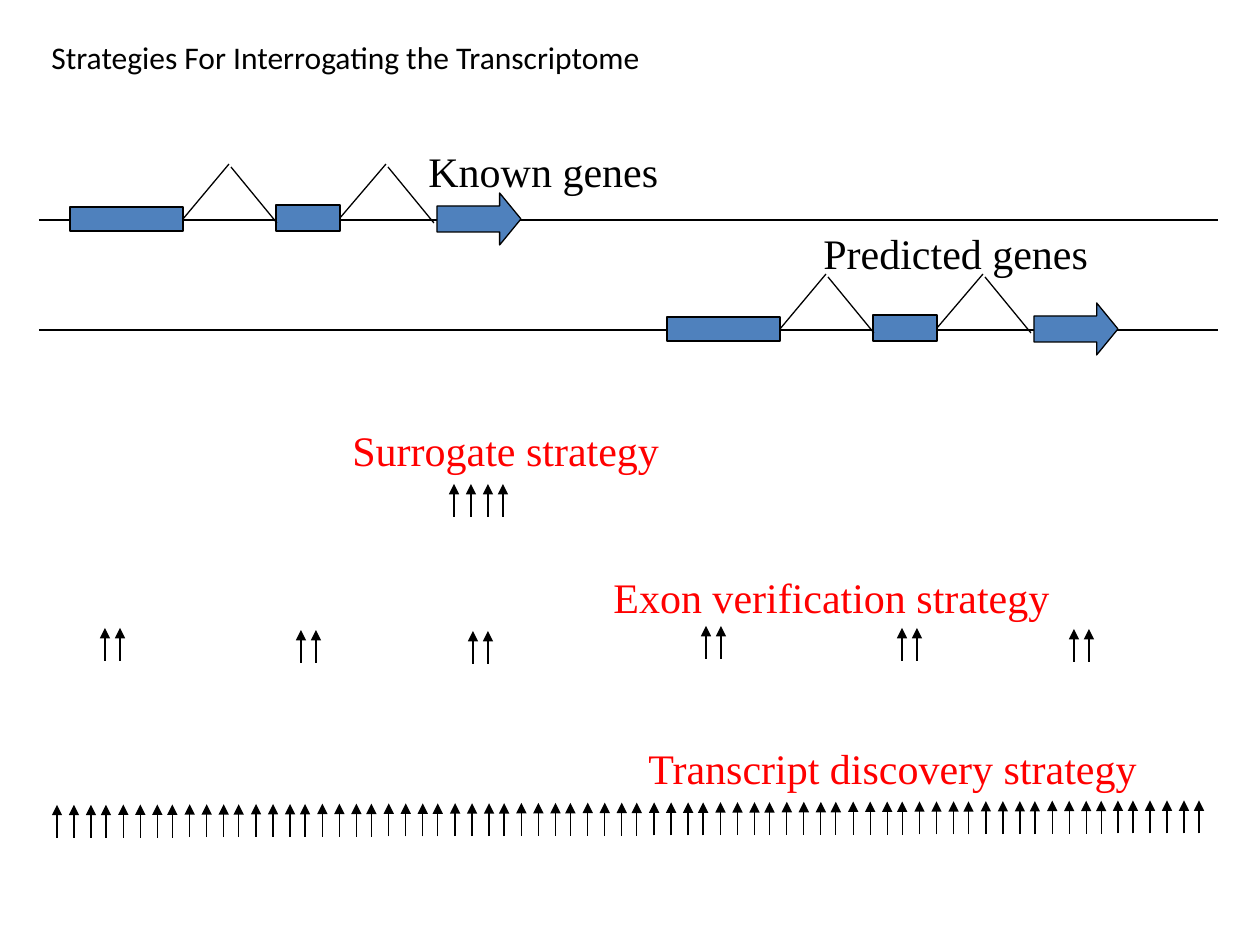
from dataclasses import dataclass

from lxml import etree
from pptx import Presentation
from pptx import util as u
from pptx.dml.color import RGBColor
from pptx.enum import shapes, text
from pptx.oxml import ns

SCALE = 914400 / 126  # EMU in one px


def emu(px):
    return u.Emu(round(px * SCALE))


@dataclass
class Theme:
    ink: str = "000000"
    gene: str = "4F81BD"
    plan: str = "FF0000"
    sans: str = "Calibri"
    serif: str = "Times New Roman"
    title: int = 18
    label: int = 24
    line: float = 0.75


class Board:
    def __init__(self, deck, theme):
        self.theme = theme
        self.slide = deck.slides.add_slide(deck.slide_layouts[6])
        self.top()

    def top(self):
        """Draw straight on the slide again."""
        self.pen = self.slide.shapes

    def group(self):
        """Draw into a new group from here on."""
        self.pen = self.slide.shapes.add_group_shape().shapes

    def paint(self, line):
        line.color.rgb = RGBColor.from_string(self.theme.ink)
        line.width = u.Pt(self.theme.line)

    def note(self, words, x, y, w, h, font, size, color, wrap=False):
        frame = self.pen.add_textbox(*map(emu, (x, y, w, h))).text_frame
        frame.word_wrap = wrap
        frame.auto_size = text.MSO_AUTO_SIZE.SHAPE_TO_FIT_TEXT
        para = frame.paragraphs[0]
        para.text = words
        para.font.name = font
        para.font.size = u.Pt(size)
        para.font.color.rgb = RGBColor.from_string(color)

    def label(self, words, x, y, w, color):
        self.note(words, x, y, w, 63, self.theme.serif, self.theme.label, color)

    def block(self, kind, x, y, w, h):
        shape = self.pen.add_shape(kind, *map(emu, (x, y, w, h)))
        shape.shadow.inherit = False
        shape.fill.solid()
        shape.fill.fore_color.rgb = RGBColor.from_string(self.theme.gene)
        self.paint(shape.line)
        return shape

    def line(self, x, y, to_x, to_y, head=False):
        link = self.pen.add_connector(
            shapes.MSO_CONNECTOR.STRAIGHT, *map(emu, (x, y, to_x, to_y)))
        self.paint(link.line)
        props = link.element.spPr
        if head:
            etree.SubElement(props.get_or_add_ln(), ns.qn("a:tailEnd"), type="triangle")
        etree.SubElement(props, ns.qn("a:effectLst"))
        return link

    def probes(self, x, y, steps):
        """Draw one upward arrow at each step to the right of x."""
        for step in steps:
            self.line(x + step, y + 33, x + step, y, head=True)

    def gene(self, x, y):
        """Draw two exons, an arrow exon and the introns between, on axis y."""
        kinds = shapes.MSO_SHAPE
        self.group()
        tip = self.block(kinds.RIGHT_ARROW, x + 367, y - 27, 84, 52)
        tip.adjustments[0], tip.adjustments[1] = 0.5, 0.41
        small = self.block(kinds.RECTANGLE, x + 206, y - 15, 64, 26)
        large = self.block(kinds.RECTANGLE, x, y - 13, 113, 24)
        for exon, start, base in (large, 113, y - 1), (small, 270, y - 2):
            rise = self.line(x + start, base, x + start + 46, y - 56)
            rise.begin_connect(exon, 3)
            self.line(x + start + 94, y + 3, x + start + 48, y - 53)
        self.top()


def main():
    deck = Presentation()
    deck.slide_width, deck.slide_height = emu(1260), emu(945)
    theme = Theme()
    board = Board(deck, theme)

    board.note("Strategies For Interrogating the Transcriptome", 39, 32, 1179, 50,
               theme.sans, theme.title, theme.ink, wrap=True)
    for x, y in (70, 220), (667, 330):
        board.line(39, y, 1218, y)
        board.gene(x, y)
    board.label("Known genes", 416, 139, 264, theme.ink)
    board.label("Predicted genes", 811, 221, 300, theme.ink)

    pair, full = (0, 15), (0, 17, 34, 49)
    board.group()
    board.probes(454, 484, full)
    board.label("Surrogate strategy", 340, 418, 341, theme.plan)

    board.group()
    for x, y in (105, 628), (706, 626):
        for shift, drop in (0, 0), (196, 2), (368, 3):
            board.probes(x + shift, y + drop, pair)
    board.label("Exon verification strategy", 601, 565, 471, theme.plan)

    board.group()
    sets = [(57 + k * 66.35, full) for k in range(16)]
    sets += [(1118, pair), (1150, full)]
    for x, steps in sets:
        board.probes(x, 805 - x / 250, steps)
    board.label("Transcript discovery strategy", 636, 736, 525, theme.plan)

    deck.save("out.pptx")


if __name__ == "__main__":
    main()
